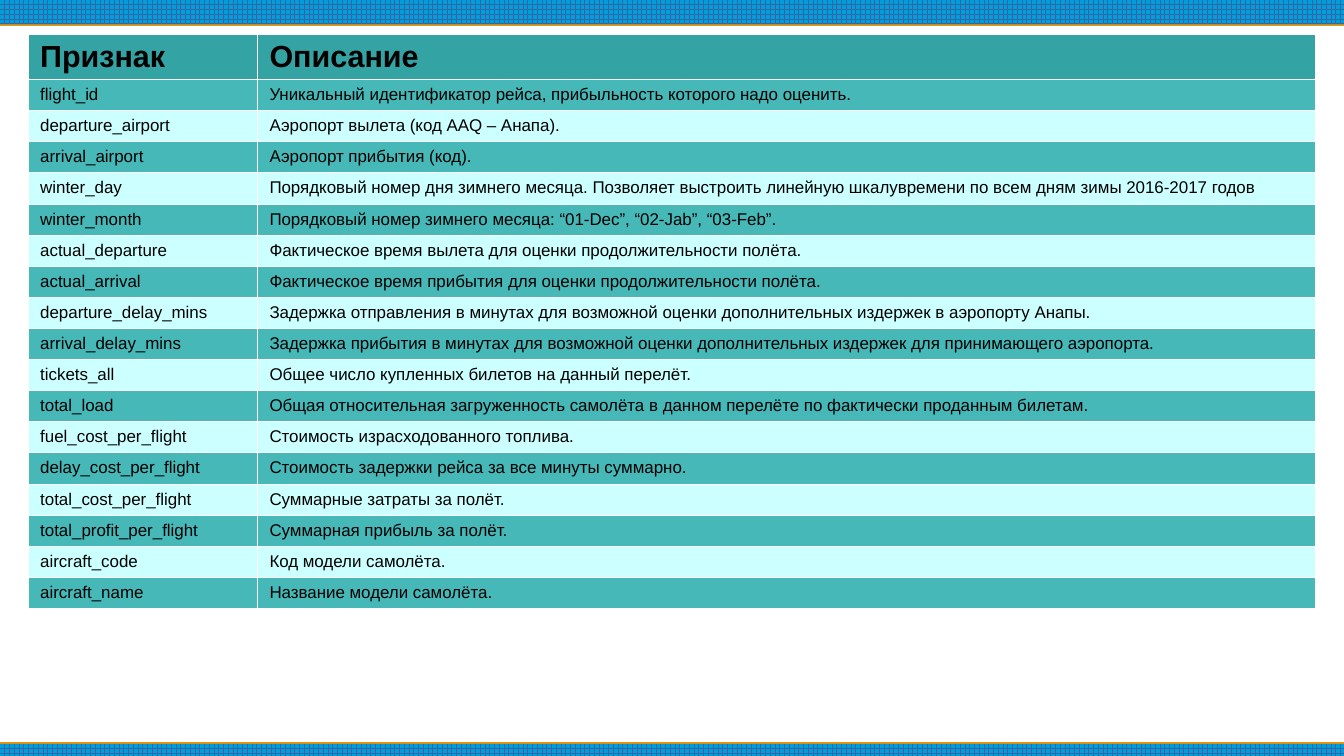
from lxml.etree import SubElement as Sub
from pptx import Presentation
from pptx.dml.color import RGBColor as RGB
from pptx.enum.dml import MSO_PATTERN as PAT
from pptx.enum.shapes import MSO_SHAPE as SHAPE
from pptx.oxml.ns import qn
from pptx.util import Inches, Pt

WHITE = RGB(0xFF, 0xFF, 0xFF)
BLACK = RGB(0x00, 0x00, 0x00)
BLUE = RGB(0x00, 0x9E, 0xDA)
NAVY = RGB(0x34, 0x65, 0xA4)
ORANGE = RGB(0xF4, 0x91, 0x00)
HEAD = RGB(0x33, 0xA3, 0xA3)
TEAL = RGB(0x47, 0xB8, 0xB8)
PALE = RGB(0xCC, 0xFF, 0xFF)

WIDE, HIGH = 11.02, 6.2

ROWS = [
    ("Признак", "Описание"),
    ("flight_id", "Уникальный идентификатор рейса, прибыльность которого надо оценить."),
    ("departure_airport", "Аэропорт вылета (код AAQ – Анапа)."),
    ("arrival_airport", "Аэропорт прибытия (код)."),
    ("winter_day", "Порядковый номер дня зимнего месяца. Позволяет выстроить линейную "
                   "шкалувремени по всем дням зимы 2016-2017 годов"),
    ("winter_month", "Порядковый номер зимнего месяца: “01-Dec”, “02-Jab”, “03-Feb”."),
    ("actual_departure", "Фактическое время вылета для оценки продолжительности полёта."),
    ("actual_arrival", "Фактическое время прибытия для оценки продолжительности полёта."),
    ("departure_delay_mins", "Задержка отправления в минутах для возможной оценки "
                             "дополнительных издержек в аэропорту Анапы."),
    ("arrival_delay_mins", "Задержка прибытия в минутах для возможной оценки "
                           "дополнительных издержек для принимающего аэропорта."),
    ("tickets_all", "Общее число купленных билетов на данный перелёт."),
    ("total_load", "Общая относительная загруженность самолёта в данном перелёте "
                   "по фактически проданным билетам."),
    ("fuel_cost_per_flight", "Стоимость израсходованного топлива."),
    ("delay_cost_per_flight", "Стоимость задержки рейса за все минуты суммарно."),
    ("total_cost_per_flight", "Суммарные затраты за полёт."),
    ("total_profit_per_flight", "Суммарная прибыль за полёт."),
    ("aircraft_code", "Код модели самолёта."),
    ("aircraft_name", "Название модели самолёта."),
]


class Page:
    font = "Arial"

    def __init__(self, deck):
        self.slide = deck.slides.add_slide(deck.slide_layouts[6])
        fill = self.slide.background.fill
        fill.solid()
        fill.fore_color.rgb = WHITE

    def band(self, top, high, angle):
        bar = self.slide.shapes.add_shape(
            SHAPE.RECTANGLE, 0, Inches(top), Inches(WIDE), Inches(high))
        bar.fill.patterned()
        bar.fill.pattern = PAT.LARGE_GRID
        bar.fill.fore_color.rgb = NAVY
        bar.fill.back_color.rgb = BLUE
        bar.line.fill.background()
        bar.shadow.inherit = False
        glow = Sub(bar._element.spPr.find(qn("a:effectLst")), qn("a:outerShdw"),
                   blurRad="0", dist=str(Pt(0.9)), dir=str(angle * 60000),
                   algn="ctr", rotWithShape="0")
        Sub(glow, qn("a:srgbClr"), val=str(ORANGE))

    def edges(self, cell):
        props = cell._tc.get_or_add_tcPr()
        for side in ("lnL", "lnR", "lnT", "lnB"):
            line = Sub(props, qn("a:" + side), w=str(Pt(0.06)))
            paint = Sub(line, qn("a:solidFill"))
            Sub(paint, qn("a:srgbClr"), val=str(WHITE))

    def cell(self, cell, text, fill, size, bold):
        self.edges(cell)
        cell.margin_left = cell.margin_right = Inches(0.1)
        cell.margin_top, cell.margin_bottom = Inches(0.05), Inches(0.04)
        cell.fill.solid()
        cell.fill.fore_color.rgb = fill
        run = cell.text_frame.paragraphs[0].add_run()
        run.text = text
        font = run.font
        font.name, font.size, font.bold = self.font, Pt(size), bold
        font.color.rgb = BLACK

    def table(self, rows, left, top, cols, head, high):
        grid = self.slide.shapes.add_table(
            len(rows), len(cols), Inches(left), Inches(top),
            Inches(sum(cols)), Inches(high)).table
        grid.first_row = grid.horz_banding = False
        for col, wide in zip(grid.columns, cols):
            col.width = Inches(wide)
        step = (high - head) / (len(rows) - 1)
        for i, (row, texts) in enumerate(zip(grid.rows, rows)):
            row.height = Inches(step if i else head)
            if i == 0:
                style = HEAD, 18, True
            else:
                style = TEAL if i % 2 else PALE, 10, False
            for cell, text in zip(row.cells, texts):
                self.cell(cell, text, *style)


def main():
    deck = Presentation()
    deck.slide_width, deck.slide_height = Inches(WIDE), Inches(HIGH)
    page = Page(deck)
    page.band(0, 0.2, 90)
    page.band(HIGH - 0.1, 0.1, 270)
    page.table(ROWS, 0.23, 0.28, (1.88, 8.67), 0.29, 4.63)
    deck.save("out.pptx")


if __name__ == "__main__":
    main()
